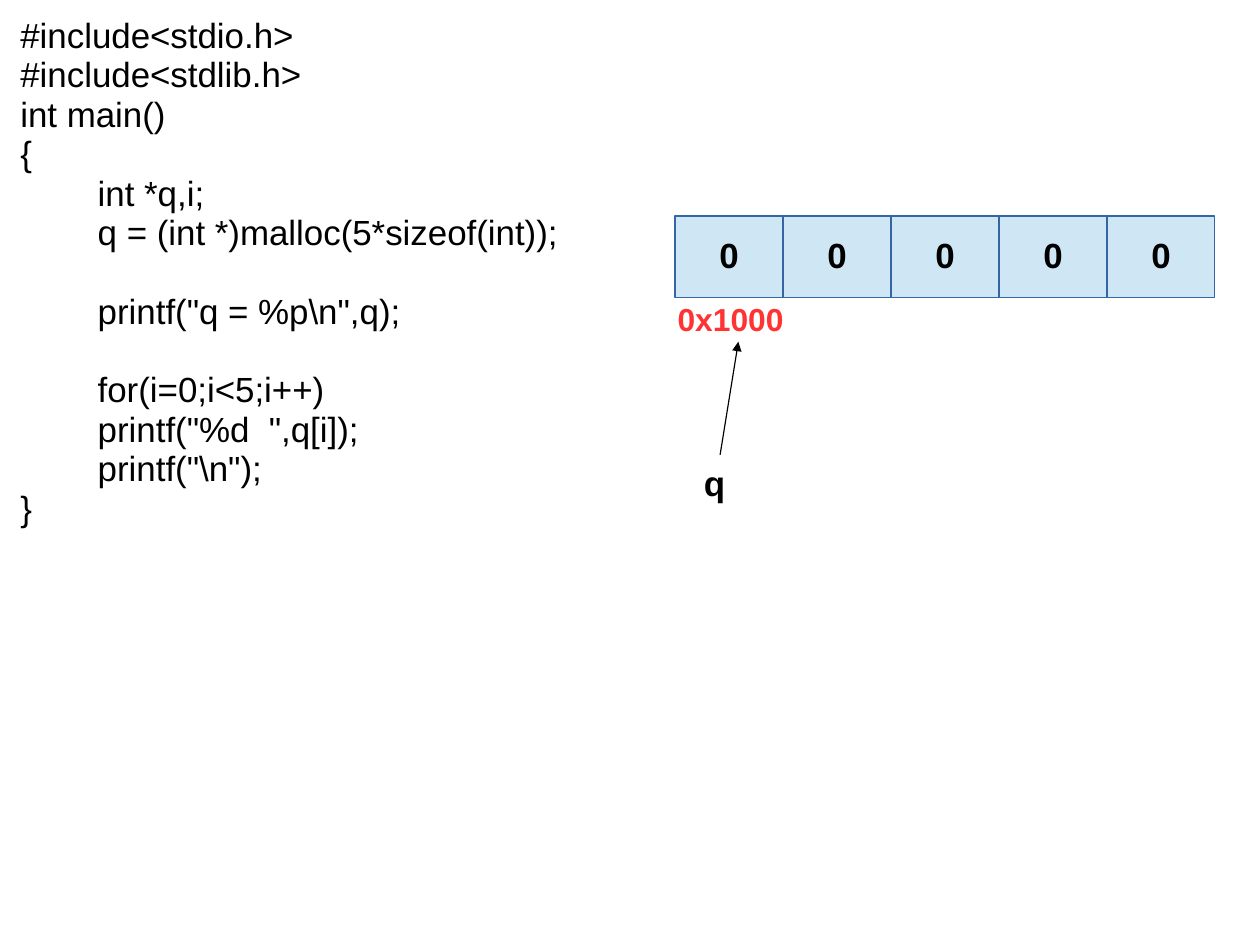
from pptx import Presentation
from pptx.dml.color import RGBColor
from pptx.enum.shapes import MSO_CONNECTOR as Link, MSO_SHAPE as Shape
from pptx.enum.text import MSO_ANCHOR as Anchor, PP_ALIGN as Align
from pptx.oxml.ns import qn
from pptx.util import Inches, Pt
from lxml.etree import SubElement

BLACK = RGBColor(0x00, 0x00, 0x00)
RED = RGBColor(0xFF, 0x33, 0x33)
PALE = RGBColor(0xCF, 0xE7, 0xF5)
BLUE = RGBColor(0x34, 0x65, 0xA4)

CODE = r"""#include<stdio.h>
#include<stdlib.h>
int main()
{
        int *q,i;
        q = (int *)malloc(5*sizeof(int));

        printf("q = %p\n",q);

        for(i=0;i<5;i++)
        printf("%d  ",q[i]);
        printf("\n");
}"""
CM = 1 / 2.54  # the page and the cells are laid out in whole metric steps
CELLS = ["0"] * 5
CELL_W = 2.4 * CM


def style(para, size=22, color=BLACK, bold=True):
    para.line_spacing = 0.94
    for run in para.runs:
        font = run.font
        font.name = "Arial"
        font.size = Pt(size)
        font.bold = bold
        font.color.rgb = color


def add_box(slide, left, top, width, height):
    return slide.shapes.add_textbox(
        Inches(left), Inches(top), Inches(width), Inches(height))


def add_code(slide):
    """Write the listing; an empty line becomes space before the next one."""
    frame = add_box(slide, 0.08, 0.1, 5.23, 7.7).text_frame
    frame.word_wrap = True
    lines = CODE.split("\n")
    frame.text = "\n".join(line for line in lines if line)
    gaps = [not prev for prev, line in zip([" "] + lines, lines) if line]
    for para, gap in zip(frame.paragraphs, gaps):
        style(para, bold=False)
        if gap:
            para.space_before = Pt(24.8)


def add_label(slide, text, left, top, width, height, **look):
    frame = add_box(slide, left, top, width, height).text_frame
    frame.word_wrap = False
    frame.text = text
    style(frame.paragraphs[0], **look)


def add_cell(slide, text, left):
    cell = slide.shapes.add_shape(
        Shape.RECTANGLE, Inches(left), Inches(1.89), Inches(CELL_W), Inches(0.71))
    cell.shadow.inherit = False
    cell.fill.solid()
    cell.fill.fore_color.rgb = PALE
    cell.line.color.rgb = BLUE
    cell.line.width = Pt(0.75)
    frame = cell.text_frame
    frame.word_wrap = False
    frame.vertical_anchor = Anchor.MIDDLE
    frame.text = text
    para = frame.paragraphs[0]
    para.alignment = Align.CENTER
    style(para)


def add_arrow(slide, x1, y1, x2, y2):
    arrow = slide.shapes.add_connector(
        Link.STRAIGHT, Inches(x1), Inches(y1), Inches(x2), Inches(y2))
    arrow.line.color.rgb = BLACK
    arrow.line.width = Pt(0.75)
    props = arrow.element.spPr
    SubElement(props.find(qn("a:ln")), qn("a:tailEnd"), type="triangle")
    SubElement(props, qn("a:effectLst"))


def main():
    deck = Presentation()
    deck.slide_width = Inches(28 * CM)
    deck.slide_height = Inches(21 * CM)
    slide = deck.slides.add_slide(deck.slide_layouts[6])
    add_code(slide)
    for i, text in enumerate(CELLS):
        add_cell(slide, text, 15 * CM + i * CELL_W)
    add_label(slide, "0x1000", 5.83, 2.6, 1.13, 0.43, size=20, color=RED)
    add_arrow(slide, 6.3, 3.98, 6.46, 2.99)
    add_label(slide, "q", 6.06, 4.02, 0.38, 0.46)
    deck.save("out.pptx")


if __name__ == "__main__":
    main()
